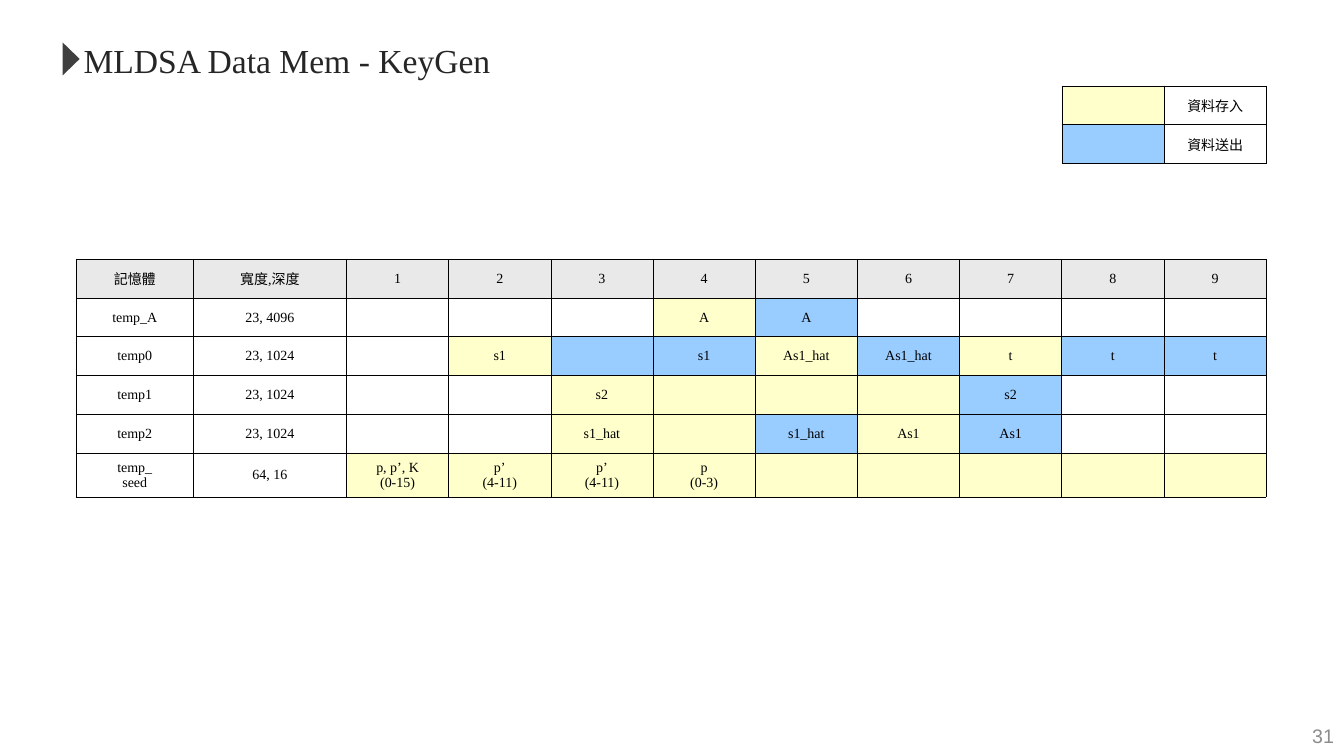
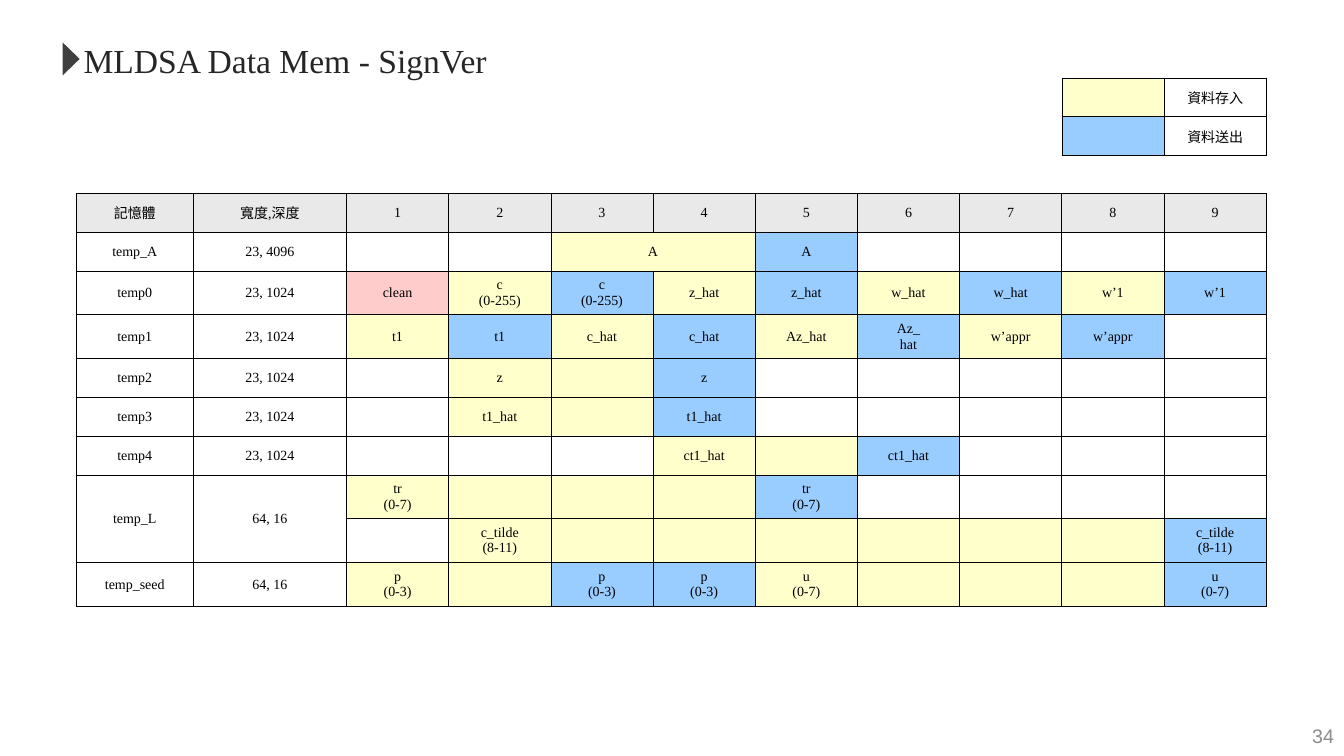
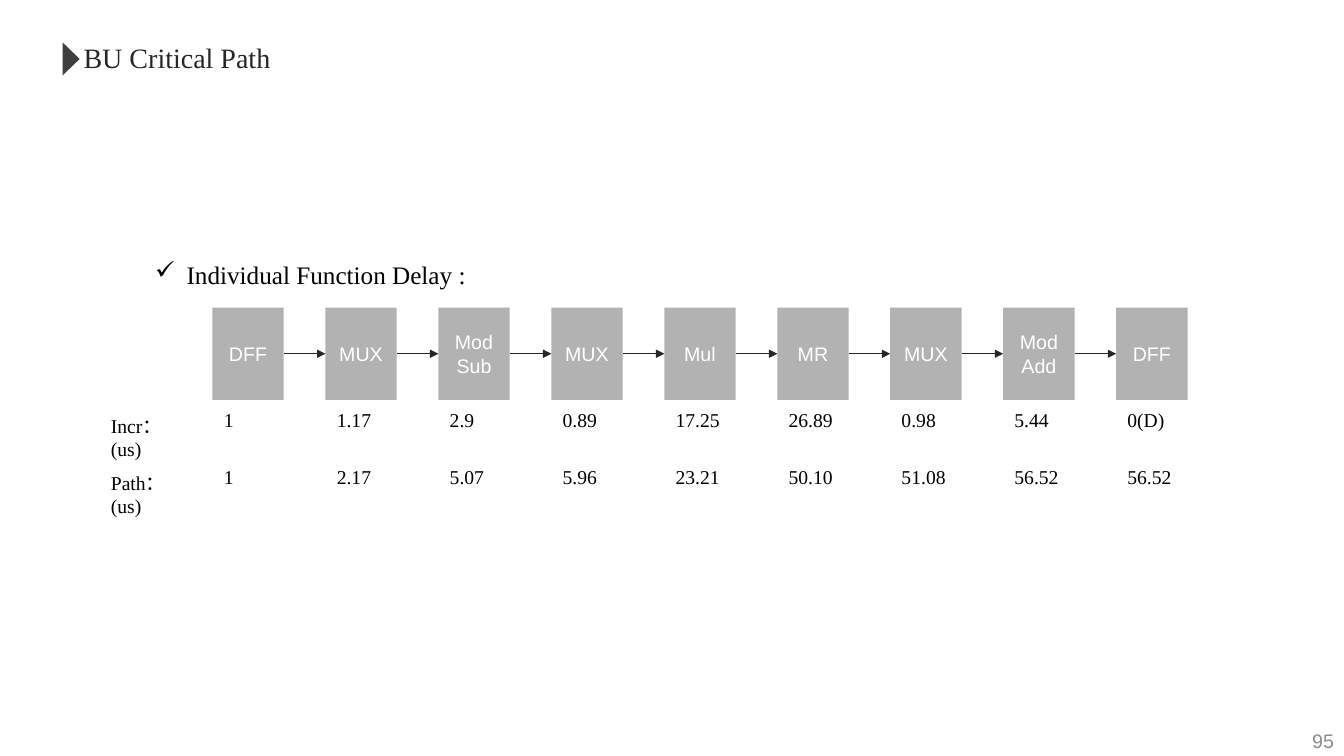
from lxml import etree
from pptx import Presentation
from pptx.dml.color import RGBColor
from pptx.enum import shapes, text
from pptx.oxml import ns
from pptx.util import Pt

BLACK = RGBColor(0x00, 0x00, 0x00)
WHITE = RGBColor(0xFF, 0xFF, 0xFF)
DARK = RGBColor(0x26, 0x26, 0x26)
MARKER = RGBColor(0x3F, 0x3F, 0x3F)
PAGE_GREY = RGBColor(0x8C, 0x8C, 0x8C)
BOX_GREY = RGBColor(0xB2, 0xB2, 0xB2)
HEADER_GREY = RGBColor(0xE9, 0xE9, 0xE9)
STORE_YELLOW = RGBColor(0xFF, 0xFF, 0xCC)
SEND_BLUE = RGBColor(0x99, 0xCC, 0xFF)
CLEAN_RED = RGBColor(0xFF, 0xCC, 0xCC)

SERIF, SANS = "Times New Roman", "Arial"
CELL = {"name": SERIF, "size": Pt(10)}
DELAY = {"name": SERIF, "size": Pt(14)}
BULLET = {"name": SERIF, "size": Pt(18)}
LABEL = {"name": SANS, "size": Pt(14)}

LEFT, CENTER, RIGHT, JUSTIFY = (
    text.PP_ALIGN.LEFT, text.PP_ALIGN.CENTER, text.PP_ALIGN.RIGHT, text.PP_ALIGN.JUSTIFY)
MIDDLE, TOP = text.MSO_ANCHOR.MIDDLE, text.MSO_ANCHOR.TOP

MARKS = {"#": HEADER_GREY, "+": STORE_YELLOW, ">": SEND_BLUE, "!": CLEAN_RED}
TABLE_LEFT = 54.5
STEP_WIDTH = 73
MEMORY_WIDTHS = [83.5, 109.5] + [STEP_WIDTH] * 9
LEGEND_WIDTHS = [STEP_WIDTH] * 2
LEGEND_LEFT = TABLE_LEFT + sum(MEMORY_WIDTHS) - sum(LEGEND_WIDTHS)
ROW_HEIGHT, TALL_ROW_HEIGHT = 27.7, 31.2
PITCH = 80.7

LEGEND = [["+", "資料存入"], [">", "資料送出"]]
HEADER = ["#記憶體", "#寬度,深度"] + [f"#{n}" for n in range(1, 10)]
KEYGEN = [
    HEADER,
    ["temp_A", "23, 4096", "", "", "", "+A", ">A", "", "", "", ""],
    ["temp0", "23, 1024", "", "+s1", ">", ">s1", "+As1_hat", ">As1_hat", "+t", ">t", ">t"],
    ["temp1", "23, 1024", "", "", "+s2", "+", "+", "+", ">s2", "", ""],
    ["temp2", "23, 1024", "", "", "+s1_hat", "+", ">s1_hat", "+As1", ">As1", "", ""],
    ["temp_\nseed", "64, 16", "+p, p’, K\n(0-15)", "+p’\n(4-11)", "+p’\n(4-11)", "+p\n(0-3)",
     "+", "+", "+", "+", "+"],
]
SIGNVER = [
    HEADER,
    ["temp_A", "23, 4096", "", "", "+A", "+", ">A", "", "", "", ""],
    ["temp0", "23, 1024", "!clean", "+c\n(0-255)", ">c\n(0-255)", "+z_hat", ">z_hat",
     "+w_hat", ">w_hat", "+w’1", ">w’1"],
    ["temp1", "23, 1024", "+t1", ">t1", "+c_hat", ">c_hat", "+Az_hat", ">Az_\nhat",
     "+w’appr", ">w’appr", ""],
    ["temp2", "23, 1024", "", "+z", "+", ">z", "", "", "", "", ""],
    ["temp3", "23, 1024", "", "+t1_hat", "+", ">t1_hat", "", "", "", "", ""],
    ["temp4", "23, 1024", "", "", "", "+ct1_hat", "+", ">ct1_hat", "", "", ""],
    ["temp_L", "64, 16", "+tr\n(0-7)", "+", "+", "+", ">tr\n(0-7)", "", "", "", ""],
    ["", "", "", "+c_tilde\n(8-11)", "+", "+", "+", "+", "+", "+", ">c_tilde\n(8-11)"],
    ["temp_seed", "64, 16", "+p\n(0-3)", "+", ">p\n(0-3)", ">p\n(0-3)", "+u\n(0-7)",
     "+", "+", "+", ">u\n(0-7)"],
]
SIGNVER_MERGES = [((1, 4), (1, 5)), ((7, 0), (8, 0)), ((7, 1), (8, 1))]

STAGES = ["DFF", "MUX", "Mod\nSub", "MUX", "Mul", "MR", "MUX", "Mod\nAdd", "DFF"]
DELAYS = [
    ["Incr：\n(us)", "1", "1.17", "2.9", "0.89", "17.25", "26.89", "0.98", "5.44", "0(D)"],
    ["Path：\n(us)", "1", "2.17", "5.07", "5.96", "23.21", "50.10", "51.08", "56.52", "56.52"],
]


def write(tf, words, fmt, color, align=LEFT):
    tf.text = words
    for p in tf.paragraphs:
        p.alignment = align
        for r in p.runs:
            for key, value in fmt.items():
                setattr(r.font, key, value)
            r.font.color.rgb = color
        if not p.runs:
            etree.SubElement(p._p, ns.qn("a:endParaRPr"), sz=str(int(fmt["size"].pt * 100)))


def add_text(s, x, y, w, h, words, fmt, color, align=LEFT, wrap=True, anchor=TOP):
    tf = s.shapes.add_textbox(Pt(x), Pt(y), Pt(w), Pt(h)).text_frame
    tf.word_wrap = wrap
    tf.vertical_anchor = anchor
    write(tf, words, fmt, color, align)
    return tf


def add_block(s, kind, x, y, w, h, color):
    sp = s.shapes.add_shape(kind, Pt(x), Pt(y), Pt(w), Pt(h))
    sp.shadow.inherit = False
    sp.fill.solid()
    sp.fill.fore_color.rgb = color
    sp.line.fill.background()
    return sp


def add_border(cell):
    for side in ("lnL", "lnR", "lnT", "lnB"):
        ln = etree.SubElement(cell._tc.get_or_add_tcPr(), ns.qn(f"a:{side}"), w=str(Pt(0.5)))
        fill = etree.SubElement(ln, ns.qn("a:solidFill"))
        etree.SubElement(fill, ns.qn("a:srgbClr"), val=str(BLACK))


def add_grid(s, x, y, widths, heights, rows, fmt, align, anchor, bordered=True, merges=()):
    frame = s.shapes.add_table(
        len(rows), len(widths), Pt(x), Pt(y), Pt(sum(widths)), Pt(sum(heights)))
    table = frame.table
    table.first_row = table.horz_banding = False
    for column, width in zip(table.columns, widths):
        column.width = Pt(width)
    for row, height in zip(table.rows, heights):
        row.height = Pt(height)
    for first, last in merges:
        table.cell(*first).merge(table.cell(*last))
    for i, row in enumerate(rows):
        for j, words in enumerate(row):
            cell = table.cell(i, j)
            cell.vertical_anchor = anchor
            if bordered:
                add_border(cell)
            mark = words[:1]
            if mark in MARKS:
                words = words[1:]
                cell.fill.solid()
                cell.fill.fore_color.rgb = MARKS[mark]
            else:
                cell.fill.background()
            write(cell.text_frame, words, fmt, BLACK, align)


def add_memory_grid(s, x, y, widths, rows, merges=()):
    heights = [TALL_ROW_HEIGHT if any("\n" in words for words in row) else ROW_HEIGHT
               for row in rows]
    add_grid(s, x, y, widths, heights, rows, CELL, CENTER, MIDDLE, merges=merges)


def add_arrow(s, start, end):
    line = s.shapes.add_connector(shapes.MSO_CONNECTOR.STRAIGHT, 0, 0, 0, 0)
    line.begin_connect(start, 3)
    line.end_connect(end, 1)
    line.line.color.rgb = DARK
    line.line.width = Pt(0.5)
    etree.SubElement(line.line._get_or_add_ln(), ns.qn("a:tailEnd"), type="triangle")
    etree.SubElement(line._element.spPr, ns.qn("a:effectLst"))


def add_bullet(s, x, y, w, h, words):
    tf = add_text(s, x, y, w, h, words, BULLET, BLACK, JUSTIFY)
    p = tf.paragraphs[0]
    p.line_spacing = 2.0
    pPr = p._p.get_or_add_pPr()
    pPr.set("marL", str(Pt(22.5)))
    pPr.set("indent", str(Pt(-22.5)))
    etree.SubElement(pPr, ns.qn("a:buChar"), char="✓")


def add_slide(prs, title, page, size=24, page_top=511.2):
    s = prs.slides.add_slide(prs.slide_layouts[6])
    add_text(s, 52.6, 25.2, 308, size * 1.2 + 7.2, title,
             {"name": SERIF, "size": Pt(size)}, DARK, wrap=False)
    marker = add_block(s, shapes.MSO_SHAPE.ISOSCELES_TRIANGLE, 39, 36, 23.6, 12.2, MARKER)
    marker.rotation = 90
    add_text(s, 744, page_top, 216, 28.8, page, LABEL, PAGE_GREY, RIGHT, anchor=MIDDLE)
    return s


def add_memory_slide(prs, title, page, rows, top, legend_top, merges=()):
    s = add_slide(prs, title, page)
    add_memory_grid(s, TABLE_LEFT, top, MEMORY_WIDTHS, rows, merges)
    add_memory_grid(s, LEGEND_LEFT, legend_top, LEGEND_WIDTHS, LEGEND)


def add_path_slide(prs):
    s = add_slide(prs, "BU Critical Path", "95", size=20, page_top=514.8)
    add_bullet(s, 103.7, 160, 290, 44, "Individual Function Delay :")
    add_grid(s, 72, 289.4, [PITCH] * 10, [26.7] * 2, DELAYS, DELAY, LEFT, TOP, bordered=False)
    previous = None
    for i, stage in enumerate(STAGES):
        box = add_block(s, shapes.MSO_SHAPE.RECTANGLE, 151.7 + i * PITCH, 219.8, 51, 65.8, BOX_GREY)
        box.text_frame.vertical_anchor = MIDDLE
        write(box.text_frame, stage, LABEL, WHITE, CENTER)
        if previous is not None:
            add_arrow(s, previous, box)
        previous = box


def main():
    prs = Presentation()
    prs.slide_width, prs.slide_height = Pt(960), Pt(540)
    add_memory_slide(prs, "MLDSA Data Mem - KeyGen", "31", KEYGEN, 185.2, 61.4)
    add_memory_slide(prs, "MLDSA Data Mem - SignVer", "34", SIGNVER, 138.2, 55.6, SIGNVER_MERGES)
    add_path_slide(prs)
    prs.save("out.pptx")


if __name__ == "__main__":
    main()
